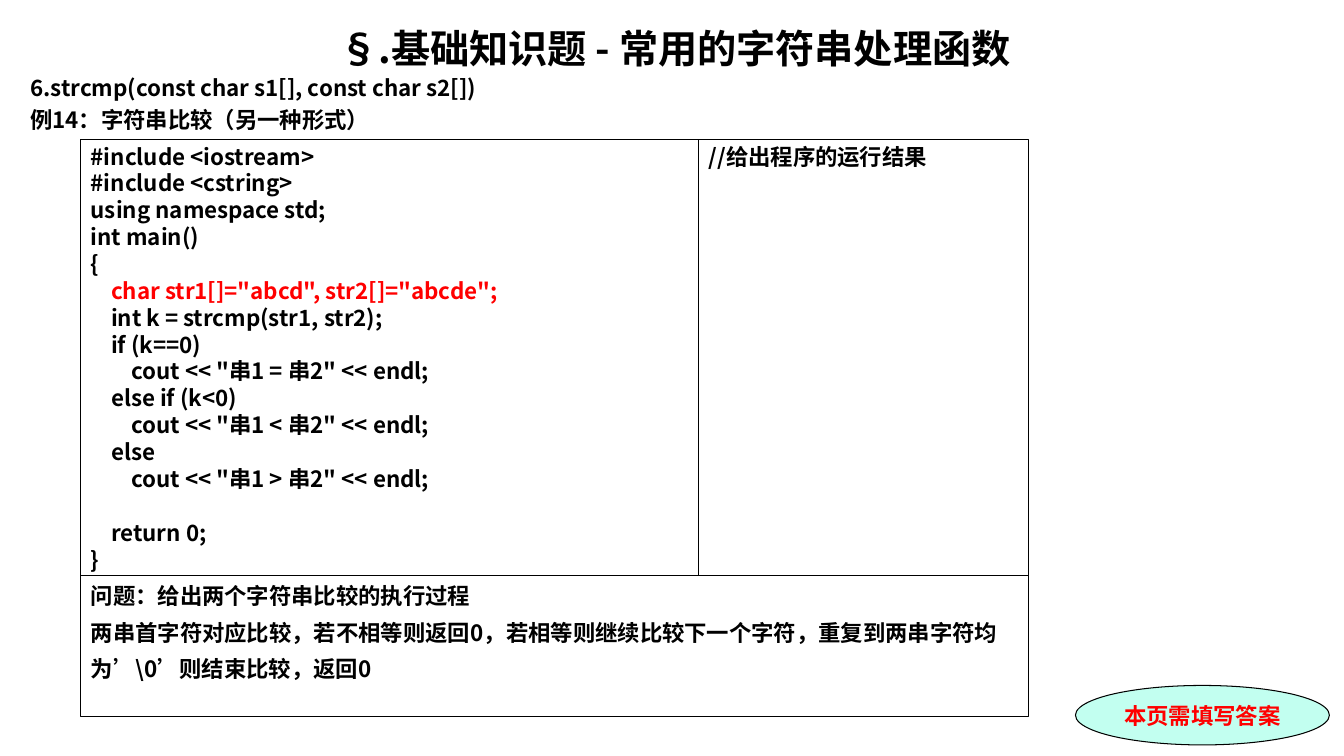
from dataclasses import dataclass

from lxml import etree
from pptx import Presentation
from pptx.dml.color import RGBColor
from pptx.enum import shapes, text
from pptx.oxml import ns
from pptx.util import Pt


@dataclass(frozen=True)
class Theme:
    ink: RGBColor = RGBColor(0, 0, 0)
    accent: RGBColor = RGBColor(255, 0, 0)
    mint: RGBColor = RGBColor(0xC2, 0xFF, 0xF0)
    font: str = "Noto Sans CJK SC"
    note_font: str = "Times New Roman"
    title_size: float = 28
    size: float = 16
    pitch: float = 19.2


THEME = Theme()


def write(shape, lines, color=THEME.ink, size=THEME.size, pitch=THEME.pitch, gap=0,
          top=0, align=text.PP_ALIGN.LEFT, anchor=text.MSO_ANCHOR.TOP, font=THEME.font):
    """Fill a shape with bold lines at a fixed pitch, with gap points between them."""
    frame = shape.text_frame
    frame.word_wrap = True
    frame.auto_size = text.MSO_AUTO_SIZE.NONE
    frame.vertical_anchor = anchor
    frame.margin_top, frame.margin_bottom = Pt(top), Pt(0)
    frame.text = "\n".join(lines)
    for index, paragraph in enumerate(frame.paragraphs):
        paragraph.alignment = align
        paragraph.line_spacing = Pt(pitch)
        paragraph.space_before = Pt(gap if index else 0)
        paragraph.font.size = Pt(size)
        for run in paragraph.runs:
            run.font.size, run.font.bold, run.font.name = Pt(size), True, font
            run.font.color.rgb = color
            east_asian = etree.SubElement(run.font._element, ns.qn("a:ea"))
            east_asian.set("typeface", THEME.font)


def add_outlined(kind, left, top, width, height):
    shape = slide.shapes.add_shape(kind, Pt(left), Pt(top), Pt(width), Pt(height))
    shape.shadow.inherit = False
    shape.fill.background()
    shape.line.color.rgb = THEME.ink
    shape.line.width = Pt(0.75)
    return shape


prs = Presentation()
prs.slide_width, prs.slide_height = Pt(960), Pt(540)
slide = prs.slides.add_slide(prs.slide_layouts[0])

heading, intro = slide.shapes.title, slide.placeholders[1]
for holder, top, height in ((heading, 13, 42), (intro, 53.3, 45)):
    holder.left, holder.top = Pt(14.4), Pt(top)
    holder.width, holder.height = Pt(935.3), Pt(height)

write(heading, ["§.基础知识题 - 常用的字符串处理函数"], size=THEME.title_size, pitch=34,
      align=text.PP_ALIGN.CENTER, anchor=text.MSO_ANCHOR.MIDDLE)
write(intro, ["6.strcmp(const char s1[], const char s2[])", "例14：字符串比较（另一种形式）"],
      gap=3.2)

# Three adjoining panels: code and result side by side, question below
LEFT, TOP = 57.8, 99.6
CODE_WIDTH, RESULT_WIDTH = 441.4, 235.4
CODE_HEIGHT, QUESTION_HEIGHT = 311.8, 100.1
RECT = shapes.MSO_SHAPE.RECTANGLE

code_lines = """#include <iostream>
#include <cstring>
using namespace std;
int main()
{
    char str1[]="abcd", str2[]="abcde";
    int k = strcmp(str1, str2);
    if (k==0)
        cout << "串1 = 串2" << endl;
    else if (k<0)
        cout << "串1 < 串2" << endl;
    else
        cout << "串1 > 串2" << endl;

    return 0;
}""".split("\n")
code = add_outlined(RECT, LEFT, TOP, CODE_WIDTH, CODE_HEIGHT)
write(code, code_lines, top=2.3)
for paragraph in code.text_frame.paragraphs:
    if "char str1" in paragraph.text:
        paragraph.runs[0].font.color.rgb = THEME.accent

result = add_outlined(RECT, LEFT + CODE_WIDTH, TOP, RESULT_WIDTH, CODE_HEIGHT)
write(result, ["//给出程序的运行结果"], top=2.3)

question = add_outlined(RECT, LEFT, TOP + CODE_HEIGHT, CODE_WIDTH + RESULT_WIDTH, QUESTION_HEIGHT)
write(question, [
    "问题：给出两个字符串比较的执行过程",
    "两串首字符对应比较，若不相等则返回0，若相等则继续比较下一个字符，重复到两串字符均",
    "为’\\0’则结束比较，返回0",
], gap=6.7, top=4.7)

reminder = add_outlined(shapes.MSO_SHAPE.OVAL, 768.2, 489.6, 181.4, 42.5)
reminder.fill.solid()
reminder.fill.fore_color.rgb = THEME.mint
write(reminder, ["本页需填写答案"], color=THEME.accent, align=text.PP_ALIGN.CENTER,
      anchor=text.MSO_ANCHOR.MIDDLE, font=THEME.note_font)

prs.save("out.pptx")
